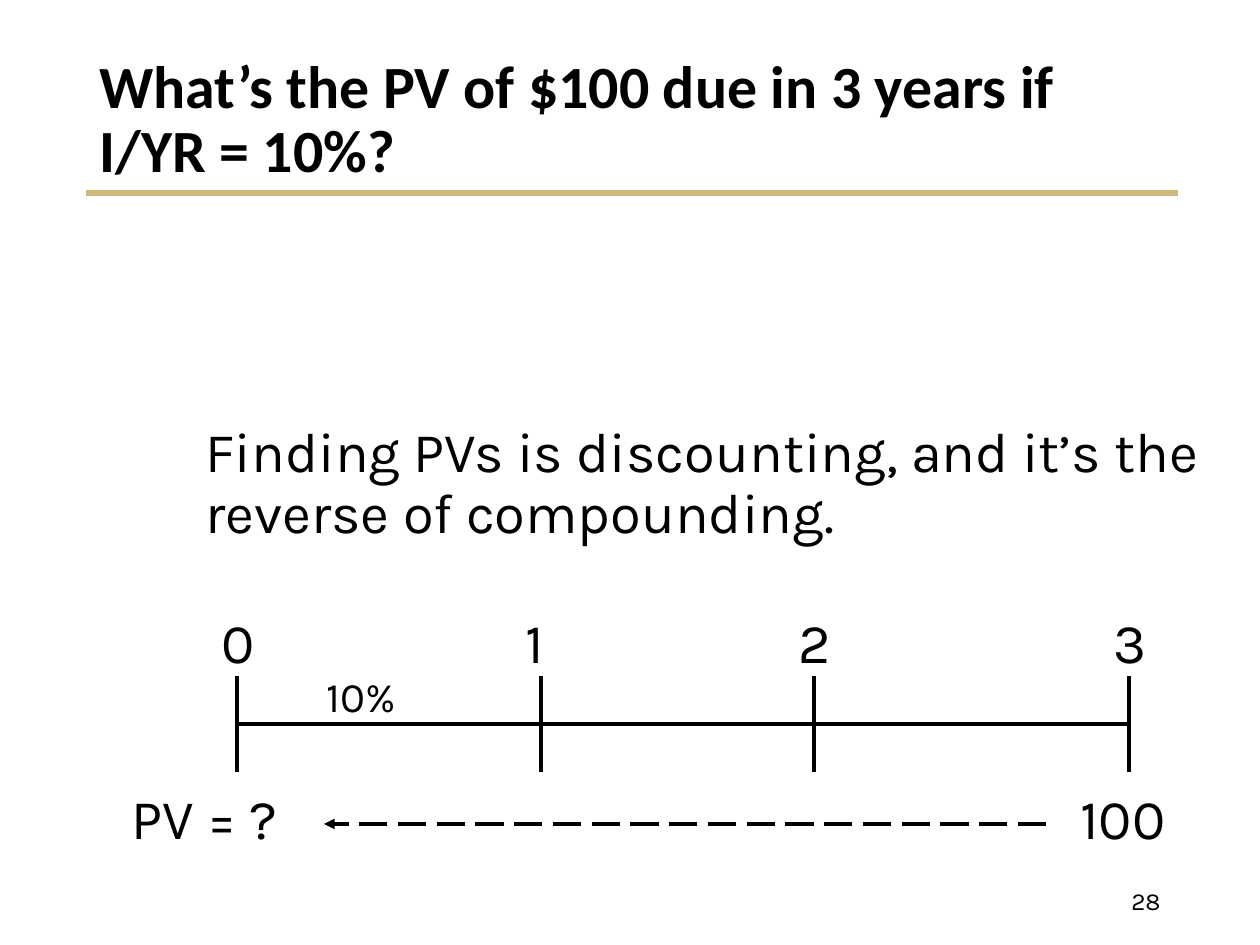
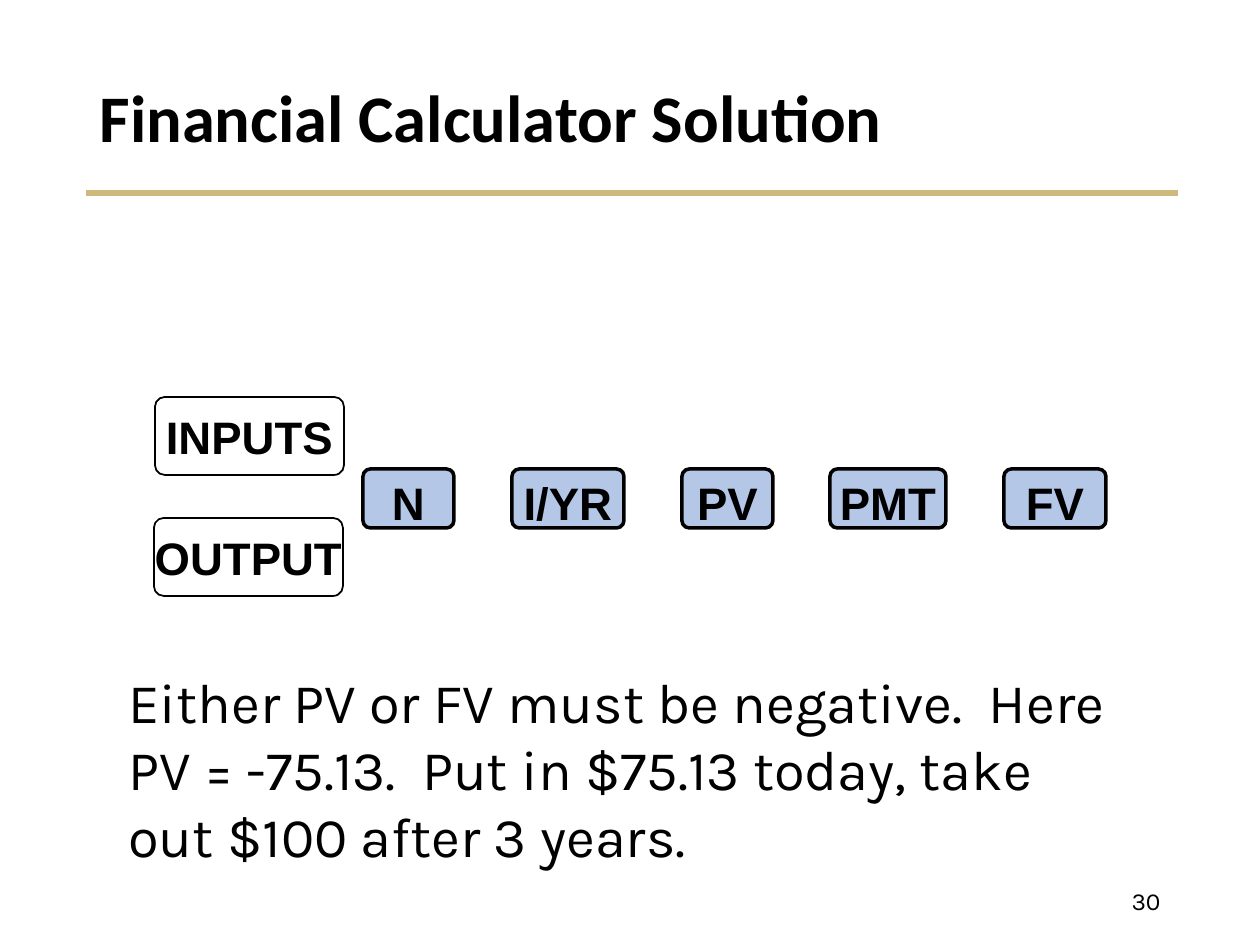
from pptx import Presentation
from pptx.dml.color import RGBColor
from pptx.enum.dml import MSO_LINE_DASH_STYLE as DASH
from pptx.enum.shapes import MSO_CONNECTOR, MSO_SHAPE
from pptx.enum.text import MSO_ANCHOR, MSO_AUTO_SIZE, PP_ALIGN
from pptx.oxml.ns import qn
from pptx.util import Emu, Pt
from lxml.etree import SubElement

PX = 914400 / 126  # EMU in one px
COLORS = {"ink": "000000", "rule": "CFB87C", "key": "B4C7E7"}
COLORS = {name: RGBColor.from_string(value) for name, value in COLORS.items()}
TITLE_FONT, BODY_FONT, KEY_FONT = "Calibri", "Karla", "Arial"


def write(shape, lines, size, font=BODY_FONT, bold=False, align=PP_ALIGN.LEFT,
          anchor=MSO_ANCHOR.TOP, spacing=None, wrap=False):
    tf = shape.text_frame
    tf.word_wrap, tf.auto_size, tf.vertical_anchor = wrap, MSO_AUTO_SIZE.NONE, anchor
    for i, line in enumerate(lines):
        p = tf.add_paragraph() if i else tf.paragraphs[0]
        p.alignment, p.line_spacing = align, spacing
        r = p.add_run()
        r.text = line
        r.font.name, r.font.size, r.font.bold = font, Pt(size), bold
        r.font.color.rgb = COLORS["ink"]


def add_line(s, x1, y1, x2, y2, color="ink", width=2):
    line = s.shapes.add_connector(
        MSO_CONNECTOR.STRAIGHT, *[Emu(round(v * PX)) for v in (x1, y1, x2, y2)])
    line.line.color.rgb, line.line.width = COLORS[color], Pt(width)
    SubElement(line._element.spPr, qn("a:effectLst"))
    return line


prs = Presentation()
prs.slide_width, prs.slide_height = Emu(round(1260 * PX)), Emu(round(945 * PX))

# Shared frame: rule, title and slide number
slides = []
for title, size, number in [
    ("What’s the PV of $100 due in 3 years if I/YR = 10%?", 34.2, "28"),
    ("Financial Calculator Solution", 38, "30"),
]:
    s = prs.slides.add_slide(prs.slide_layouts[5])
    add_line(s, 86, 193, 1178, 193, "rule", 3)
    heading = s.shapes.title
    heading.left, heading.top, heading.width, heading.height = [
        Emu(round(v * PX)) for v in (87, 50, 1086, 142)]
    write(heading, [title], size, TITLE_FONT, True,
          anchor=MSO_ANCHOR.MIDDLE, spacing=0.9, wrap=True)
    box = s.shapes.add_textbox(*[Emu(round(v * PX)) for v in (890, 876, 283, 50)])
    write(box, [number], 14, align=PP_ALIGN.RIGHT, anchor=MSO_ANCHOR.MIDDLE, wrap=True)
    slides.append(s)
timeline, calculator = slides

# Slide 1: time line with a tick for each year
TICKS = [237, 541, 814, 1129]
AXIS_Y, TICK_HALF = 724, 48
labels = [
    ("Finding PVs is discounting, and it’s the reverse of compounding.",
     193, 418, 1055, 134, 32),
    ("10%", 314, 664, 112, 63, 24),
    ("PV = ?", 119, 777, 192, 80, 32),
    ("100", 1068, 777, 117, 80, 32),
]
for year, x in enumerate(TICKS):
    add_line(timeline, x, AXIS_Y - TICK_HALF, x, AXIS_Y + TICK_HALF)
    labels.append((str(year), x - 28, 601, 56, 80, 32))
for text, x, y, w, h, size in labels:
    box = timeline.shapes.add_textbox(*[Emu(round(v * PX)) for v in (x, y, w, h)])
    is_sentence = w > 1000
    write(box, [text], size, wrap=is_sentence, spacing=0.9 if is_sentence else None)
add_line(timeline, TICKS[0], AXIS_Y, TICKS[-1], AXIS_Y)

# Dashed arrow discounting back to today
arrow = add_line(timeline, 1046, 824, 324, 824)
arrow.line.dash_style = DASH.LONG_DASH
SubElement(arrow.line._get_or_add_ln(), qn("a:tailEnd"), type="triangle")

# Slide 2: explanation
box = calculator.shapes.add_textbox(*[Emu(round(v * PX)) for v in (116, 661, 1021, 214)])
write(box, ["Either PV or FV must be negative.  Here",
            "PV = -75.13.  Put in $75.13 today, take",
            "out $100 after 3 years."], 32)

# Calculator keys and row labels
KEY_Y, KEY_H, ROW_W, ROW_H = 469, 59, 189, 78
buttons = [(text, x, KEY_Y, w, KEY_H, True) for text, x, w in [
    ("N", 363, 91), ("I/YR", 512, 112), ("PV", 682, 91), ("PMT", 830, 116), ("FV", 1004, 102)]]
buttons += [("INPUTS", 155, 397, ROW_W, ROW_H, False),
            ("OUTPUT", 154, 518, ROW_W, ROW_H, False)]
for text, x, y, w, h, is_key in buttons:
    sp = calculator.shapes.add_shape(
        MSO_SHAPE.ROUNDED_RECTANGLE, *[Emu(round(v * PX)) for v in (x, y, w, h)])
    sp.adjustments[0] = 0.125
    sp.shadow.inherit = False
    sp.line.color.rgb, sp.line.width = COLORS["ink"], Pt(2 if is_key else 1)
    if is_key:
        sp.fill.solid()
        sp.fill.fore_color.rgb = COLORS["key"]
    else:
        sp.fill.background()
    tf = sp.text_frame
    tf.margin_left = tf.margin_right = tf.margin_bottom = 0
    tf.margin_top = Emu(round(8 * PX)) if is_key else 0
    write(sp, [text], 26, KEY_FONT, True, PP_ALIGN.CENTER, MSO_ANCHOR.MIDDLE)

prs.save("out.pptx")
